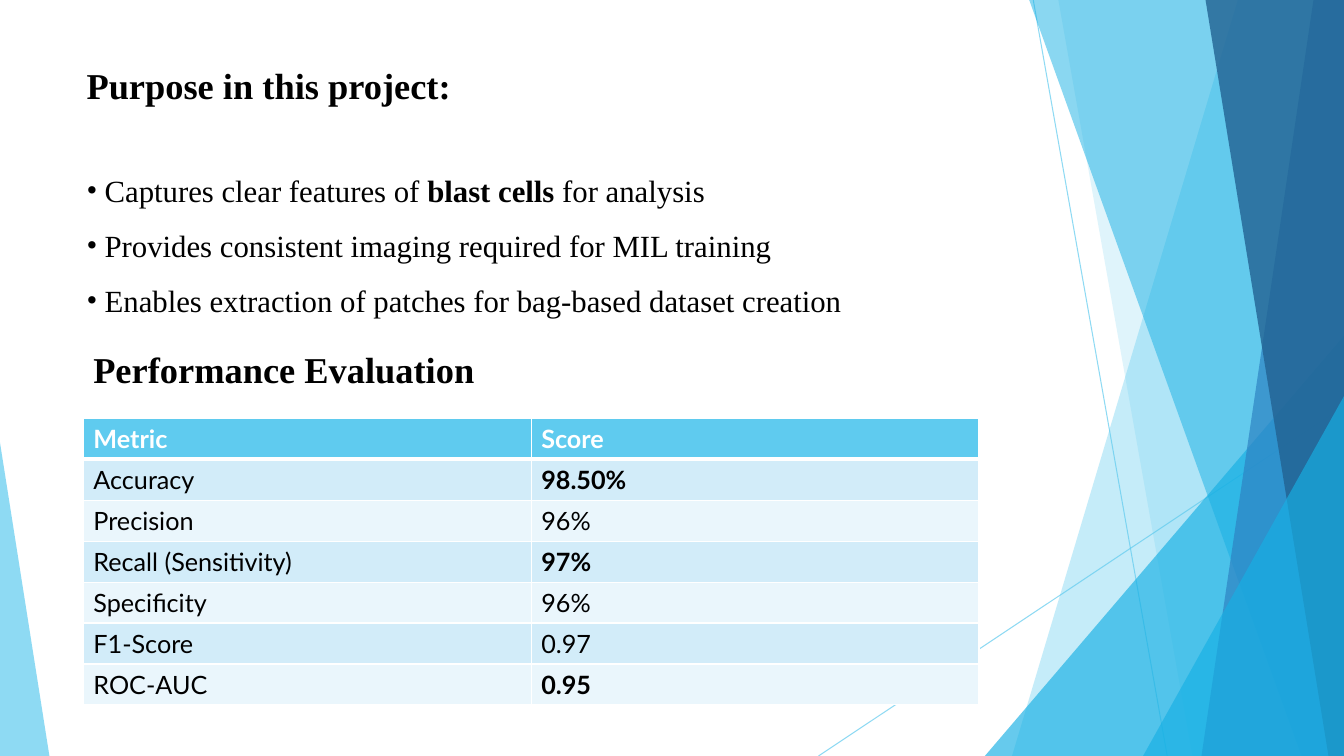
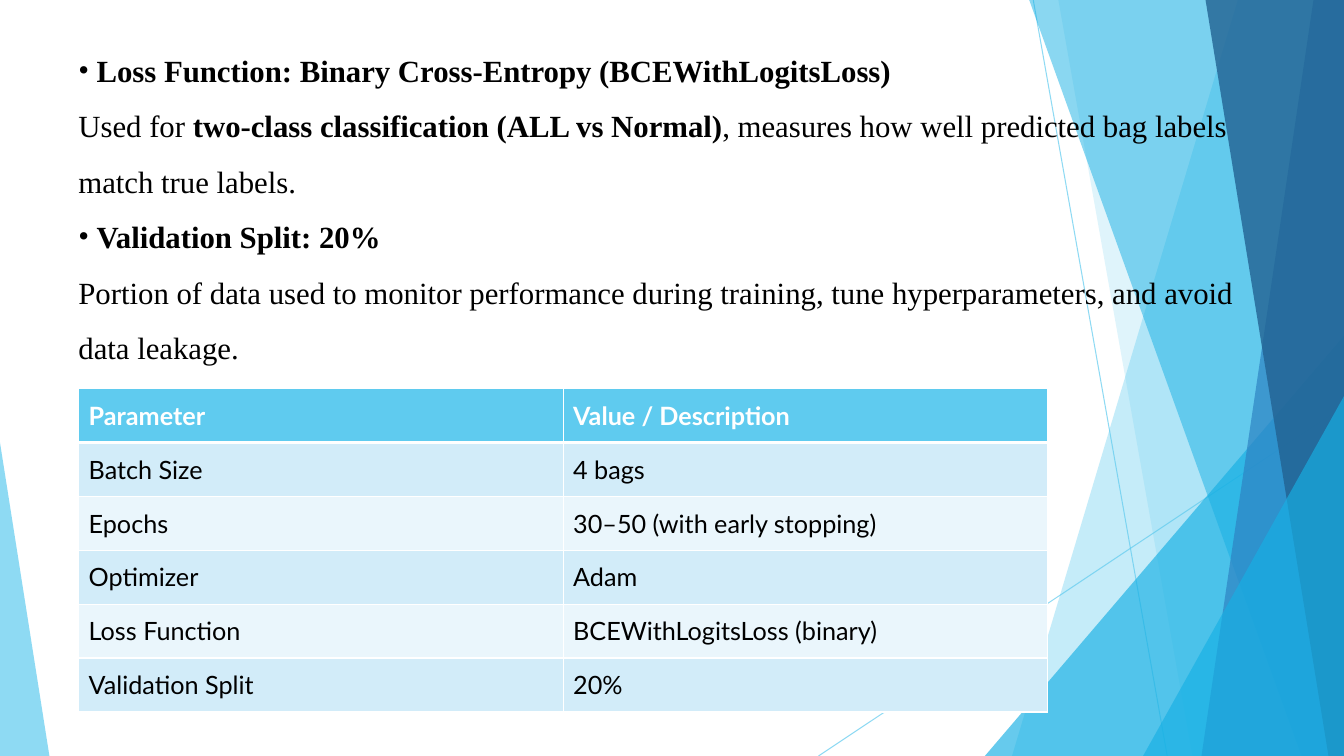
from collections import namedtuple
from lxml.etree import SubElement
from pptx import Presentation
from pptx.dml.color import RGBColor
from pptx.enum.shapes import MSO_CONNECTOR, MSO_SHAPE
from pptx.enum.text import MSO_ANCHOR
from pptx.oxml.ns import qn
from pptx.util import Inches, Pt

Box = namedtuple("Box", "x y w h")
PAGE = Box(0, 0, Inches(13.333), Inches(7.5))
SKY, CYAN, BLUE, NAVY = "5FCBEF", "17B0E4", "2E83C3", "226292"
WHITE, BLACK = "FFFFFF", "000000"
ROWS = ("D2ECF9", "EAF6FC")
SERIF, SANS = "Times New Roman", "Lato"
HEAD = {"size": Pt(26), "name": SERIF, "bold": True}
BODY = {"size": Pt(22), "name": SERIF}
CELL = {"size": Pt(18), "name": SANS}
HANG = Inches(0.18)

LINES = [(76.88, 0, 86.85, 100), (100, 53.73, 60.9, 100)]
BANDS = [
    (92.1, 75.3, SKY, 36),
    (78.75, 88.73, SKY, 20),
    (73.28, 44.4, 26.72, 1, CYAN, 66),
    (76.58, 96.83, CYAN, 50),
    (97.73, 89.4, BLUE, 70),
    (89.7, 98.85, NAVY, 80),
    (85.05, 52.4, 14.95, 1, CYAN, 66),
    (0, 58.53, 3.68, 0, SKY, 70),
]

PURPOSE = [
    "Captures clear features of **blast cells** for analysis",
    "Provides consistent imaging required for MIL training",
    "Enables extraction of patches for bag-based dataset creation",
]
SCORES = [
    ("Metric", "Score"),
    ("Accuracy", "**98.50%**"),
    ("Precision", "96%"),
    ("Recall (Sensitivity)", "**97%**"),
    ("Specificity", "96%"),
    ("F1-Score", "0.97"),
    ("ROC-AUC", "**0.95**"),
]
NOTES = [
    ("**Loss Function: Binary Cross-Entropy (BCEWithLogitsLoss)**",
     "Used for **two-class classification (ALL vs Normal)**, measures how well "
     "predicted bag labels match true labels."),
    ("**Validation Split: 20%**",
     "Portion of data used to monitor performance during training, tune "
     "hyperparameters, and avoid data leakage."),
]
SETUP = [
    ("Parameter", "Value / Description"),
    ("Batch Size", "4 bags"),
    ("Epochs", "30–50 (with early stopping)"),
    ("Optimizer", "Adam"),
    ("Loss Function", "BCEWithLogitsLoss (binary)"),
    ("Validation Split", "20%"),
]


def rgb(code):
    """Turn a hex string into a colour."""
    return RGBColor.from_string(code)


def style(item, form):
    """Set each attribute of an item from a dict."""
    for key, value in form.items():
        setattr(item, key, value)


def part(box, x, y, w, h):
    """Return the part of a box given in percent of its size."""
    return Box(round(box.x + box.w * x / 100), round(box.y + box.h * y / 100),
               round(box.w * w / 100), round(box.h * h / 100))


def fade(shape, alpha):
    """Make the first colour of a shape see-through."""
    tint = next(shape.element.iter(qn("a:srgbClr")))
    SubElement(tint, qn("a:alpha"), val=str(alpha * 1000))


def paint(shape, code, alpha):
    """Fill a shape without outline or shadow."""
    shape.shadow.inherit = False
    shape.line.fill.background()
    shape.fill.solid()
    shape.fill.fore_color.rgb = rgb(code)
    fade(shape, alpha)


def thread(slide, box, x1, y1, x2, y2):
    """Draw a thin line between two points of a box."""
    start, stop = part(box, x1, y1, 0, 0), part(box, x2, y2, 0, 0)
    line = slide.shapes.add_connector(
        MSO_CONNECTOR.STRAIGHT, start.x, start.y, stop.x, stop.y)
    line.line.width = Pt(0.75)
    line.line.color.rgb = rgb(SKY)
    fade(line, 70)
    SubElement(line.element.spPr, qn("a:effectLst"))


def band(slide, box, top, foot):
    """Draw a slanted band that runs to the right edge of a box."""
    spots = [part(box, x, y, 0, 0)[:2]
             for x, y in ((top, 0), (100, 0), (100, 100), (foot, 100))]
    form = slide.shapes.build_freeform(*spots[0])
    form.add_line_segments(spots[1:], close=True)
    return form.convert_to_shape()


def wedge(slide, box, x, y, w, tip):
    """Draw a triangle that stands on the foot of a box."""
    shape = slide.shapes.add_shape(
        MSO_SHAPE.ISOSCELES_TRIANGLE, *part(box, x, y, w, 100 - y))
    shape.adjustments[0] = tip
    return shape


def facets(slide, box):
    """Draw the shared lines, bands and wedges."""
    for ends in LINES:
        thread(slide, box, *ends)
    for *place, code, alpha in BANDS:
        draw = band if len(place) == 2 else wedge
        paint(draw(slide, box, *place), code, alpha)


def write(para, text, form, code=BLACK):
    """Write text in which double stars mark bold words."""
    for turn, words in enumerate(text.split("**")):
        if words:
            run = para.add_run()
            run.text = words
            style(run.font, {"bold": turn % 2 == 1, **form})
            run.font.color.rgb = rgb(code)


def dot(para):
    """Give a paragraph a hanging bullet."""
    props = para._p.get_or_add_pPr()
    props.set("marL", str(HANG))
    props.set("indent", str(-HANG))
    SubElement(props, qn("a:buFont"), typeface=SERIF)
    SubElement(props, qn("a:buChar"), char="•")


def prose(slide, box, items, space=1.5):
    """Fill a text box from text, format, bullet and gap items."""
    frame = slide.shapes.add_textbox(*box).text_frame
    frame.word_wrap = True
    for turn, (text, form, mark, gap) in enumerate(items):
        para = frame.add_paragraph() if turn else frame.paragraphs[0]
        style(para, {"line_spacing": space, "space_before": Pt(gap)})
        if mark:
            dot(para)
        write(para, text, form)


def edge(cell, foot):
    """Draw white borders around a cell."""
    props = cell._tc.get_or_add_tcPr()
    for side, width in (("L", 1), ("R", 1), ("T", 1), ("B", foot)):
        line = SubElement(props, qn("a:ln" + side), w=str(Pt(width)))
        fill = SubElement(line, qn("a:solidFill"))
        SubElement(fill, qn("a:srgbClr"), val=WHITE)


def grid(slide, box, rows):
    """Draw a table with a header and striped rows."""
    table = slide.shapes.add_table(len(rows), len(rows[0]), *box).table
    for row in table.rows:
        row.height = box.h // len(rows)
    for r, row in enumerate(rows):
        for c, text in enumerate(row):
            cell = table.cell(r, c)
            cell.vertical_anchor = MSO_ANCHOR.MIDDLE
            edge(cell, 1 if r else 3)
            cell.fill.solid()
            cell.fill.fore_color.rgb = rgb(ROWS[(r - 1) % 2] if r else SKY)
            form = CELL if r else {**CELL, "bold": True}
            write(cell.text_frame.paragraphs[0], text, form, BLACK if r else WHITE)


def results(slide, box):
    """Build the slide with purpose and scores."""
    facets(slide, box)
    items = [("Purpose in this project:", HEAD, False, 0)]
    items += [(text, BODY, True, 0 if turn else 33)
              for turn, text in enumerate(PURPOSE)]
    prose(slide, part(box, 5.7, 4.8, 69.3, 37.5), items)
    grid(slide, part(box, 6.2, 55.35, 66.65, 37.9), SCORES)
    prose(slide, part(box, 6.2, 45.2, 50, 7.2),
          [("Performance Evaluation", HEAD, False, 0)], 1)


def training(slide, box):
    """Build the slide with training settings."""
    facets(slide, box)
    items = [(text, BODY, mark, 0)
             for pair in NOTES for text, mark in zip(pair, (True, False))]
    prose(slide, part(box, 5.1, 3.75, 89.85, 44.9), items)
    grid(slide, part(box, 5.85, 51.4, 72.1, 42.8), SETUP)


def main():
    """Build and save the deck."""
    deck = Presentation()
    style(deck, {"slide_width": PAGE.w, "slide_height": PAGE.h})
    for build in (results, training):
        build(deck.slides.add_slide(deck.slide_layouts[6]), PAGE)
    deck.save("out.pptx")


if __name__ == "__main__":
    main()
